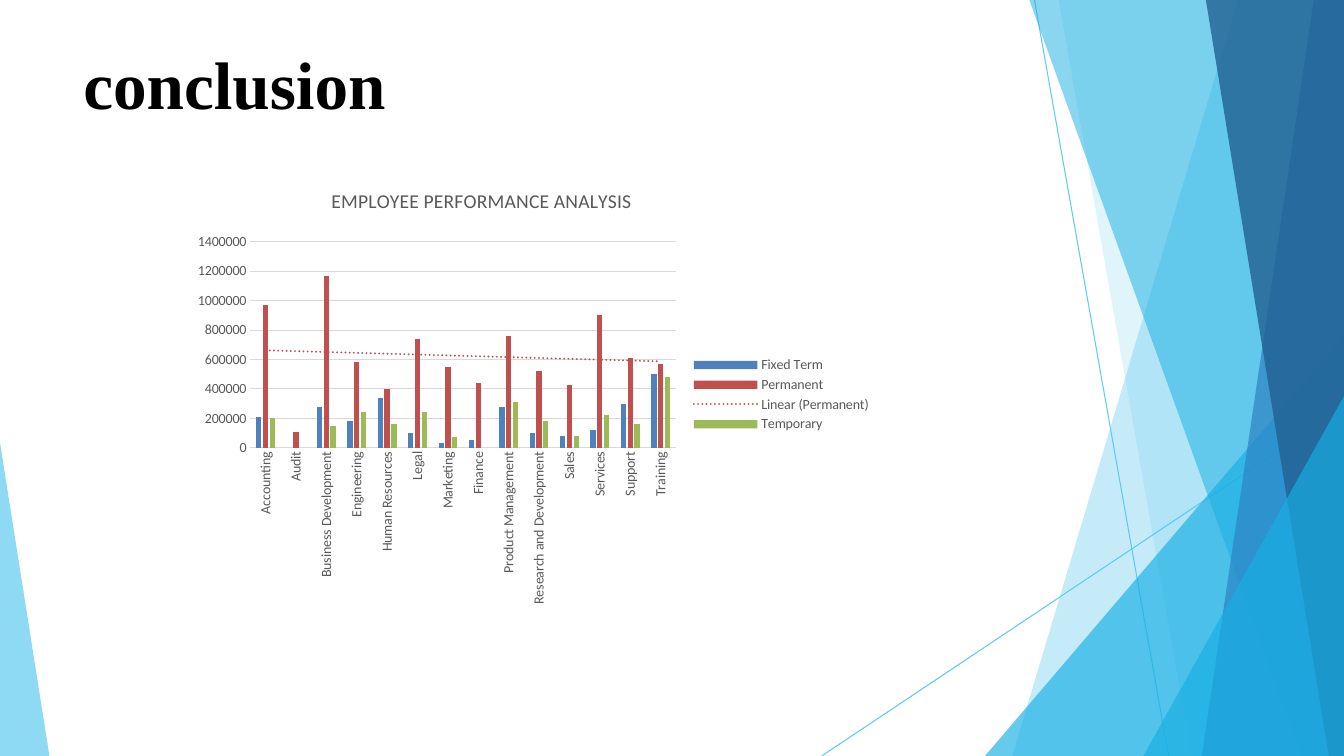
"""Build the conclusion slide with its employee performance chart."""
from lxml.etree import SubElement
from pptx import Presentation
from pptx.chart.data import CategoryChartData
from pptx.dml.color import RGBColor
from pptx.enum.chart import XL_CHART_TYPE, XL_LEGEND_POSITION, XL_TICK_MARK
from pptx.enum.shapes import MSO_CONNECTOR
from pptx.enum.text import MSO_ANCHOR
from pptx.oxml import parse_xml
from pptx.oxml.ns import nsdecls, qn
from pptx.util import Inches, Pt

COLORS = {
    "sky": "5FCAEE", "cyan": "17AFE3", "blue": "2D83C3", "navy": "226192",
    "black": "000000", "text": "595959", "grid": "D9D9D9",
    "Fixed Term": "4F81BD", "Permanent": "C0504D", "Temporary": "9BBB59",
}
TITLE = "conclusion"
CHART_TITLE = "EMPLOYEE PERFORMANCE ANALYSIS"
SERIES = ("Fixed Term", "Permanent", "Temporary")
ROWS = [
    ("Accounting", 210000, 970000, 200000),
    ("Audit", None, 110000, None),
    ("Business Development", 280000, 1170000, 150000),
    ("Engineering", 180000, 580000, 240000),
    ("Human Resources", 340000, 400000, 160000),
    ("Legal", 100000, 740000, 240000),
    ("Marketing", 30000, 550000, 70000),
    ("Finance", 50000, 440000, None),
    ("Product Management", 280000, 760000, 310000),
    ("Research and Development", 100000, 520000, 180000),
    ("Sales", 80000, 430000, 80000),
    ("Services", 120000, 900000, 220000),
    ("Support", 300000, 610000, 160000),
    ("Training", 500000, 570000, 480000),
]

# Shares of the slide's or the chart's width and height, in percent
TITLE_BOX = (6.2, 5.35, 87.6, 11.1)
CHART_BOX = (13.7, 23.33, 51.9, 57.75)
THIN_LINES = [((76.97, 0), (86.95, 100)), ((100, 53.87), (61.14, 100))]
RIGHT_FACETS = [
    (92.12, 75.32, 0, "sky", 36),
    (78.77, 88.67, 0, "sky", 20),
    (100, 73.29, 44.4, "cyan", 66),
    (76.59, 96.85, 0, "cyan", 50),
    (97.75, 89.42, 0, "blue", 70),
    (89.72, 98.87, 0, "navy", 80),
    (100, 85.07, 52.4, "cyan", 66),
]
LEFT_FACET = [(0, 58.53), (0, 100), (3.68, 100)]
TITLE_LAYOUT = {"x": 20.6, "y": 1.6}
PLOT_LAYOUT = {"x": 9.5, "y": 15, "w": 61, "h": 47.2}

presentation = Presentation()
presentation.slide_width, presentation.slide_height = Inches(13.33), Inches(7.5)
slide = presentation.slides.add_slide(presentation.slide_layouts[6])


def color(name):
    return RGBColor.from_string(COLORS[name])


def place(*shares):
    sides = (presentation.slide_width, presentation.slide_height) * 2
    return [round(share * side / 100) for share, side in zip(shares, sides)]


def add_facet(points, fill, opacity):
    corners = [place(*point) for point in points]
    builder = slide.shapes.build_freeform(*corners[0])
    builder.add_line_segments(corners[1:], close=True)
    shape = builder.convert_to_shape()
    shape.shadow.inherit = False
    shape.line.fill.background()
    shape.fill.solid()
    shape.fill.fore_color.rgb = color(fill)
    tint = shape.fill._xPr.find(".//" + qn("a:srgbClr"))
    SubElement(tint, qn("a:alpha"), val=str(opacity * 1000))


def format_font(font, size=10, name="Calibri", fill="text", bold=False):
    font.size, font.name, font.bold = Pt(size), name, bold
    font.color.rgb = color(fill)


def add_text(frame, text, **style):
    run = frame.paragraphs[0].add_run()
    run.text = text
    format_font(run.font, **style)


def set_layout(element, shares, inner=False):
    target = '<c:layoutTarget val="inner"/>' if inner else ""
    modes = "".join(f'<c:{key}Mode val="edge"/>' for key in "xy")
    values = "".join(f'<c:{key} val="{share / 100}"/>' for key, share in shares.items())
    layout = parse_xml(f'<c:layout {nsdecls("c")}><c:manualLayout>{target}{modes}'
                       f'{values}</c:manualLayout></c:layout>')
    for previous in element.findall(qn("c:layout")):
        element.remove(previous)
    text = element.find(qn("c:tx"))
    element.insert(0 if text is None else 1, layout)


def add_trend(series):
    trend = parse_xml(
        f'<c:trendline {nsdecls("c", "a")}><c:spPr><a:ln w="{Pt(1.5)}" cap="rnd"><a:solidFill>'
        f'<a:srgbClr val="{COLORS[series.name]}"/></a:solidFill><a:prstDash val="sysDot"/>'
        '</a:ln></c:spPr><c:trendlineType val="linear"/><c:dispRSqr val="0"/>'
        '<c:dispEq val="0"/></c:trendline>')
    series._element.find(qn("c:cat")).addprevious(trend)


def turn_labels(axis, degrees):
    body = axis._element.find(qn("c:txPr")).find(qn("a:bodyPr"))
    body.set("rot", str(degrees * 60000))
    body.set("vert", "horz")


def add_performance_chart():
    data = CategoryChartData()
    categories, *columns = zip(*ROWS)
    data.categories = categories
    for name, values in zip(SERIES, columns):
        data.add_series(name, values)
    chart = slide.shapes.add_chart(
        XL_CHART_TYPE.COLUMN_CLUSTERED, *place(*CHART_BOX), data).chart
    format_font(chart.font, fill="black")
    add_text(chart.chart_title.text_frame, CHART_TITLE, size=14)
    set_layout(chart.chart_title._element, TITLE_LAYOUT)
    set_layout(chart._chartSpace.chart.plotArea, PLOT_LAYOUT, inner=True)

    plot = chart.plots[0]
    plot.vary_by_categories = False
    plot.gap_width, plot.overlap = 219, -27
    for series in plot.series:
        series.format.fill.solid()
        series.format.fill.fore_color.rgb = color(series.name)
        if series.name == "Permanent":
            add_trend(series)

    for axis in (chart.category_axis, chart.value_axis):
        axis.major_tick_mark = axis.minor_tick_mark = XL_TICK_MARK.NONE
        format_font(axis.tick_labels.font)
    turn_labels(chart.category_axis, -90)
    chart.value_axis.format.line.fill.background()
    for line in (chart.category_axis.format.line,
                 chart.value_axis.major_gridlines.format.line):
        line.color.rgb = color("grid")
        line.width = Pt(0.75)

    chart.has_legend = True
    chart.legend.position = XL_LEGEND_POSITION.RIGHT
    chart.legend.include_in_layout = False
    format_font(chart.legend.font)


for start, end in THIN_LINES:
    connector = slide.shapes.add_connector(
        MSO_CONNECTOR.STRAIGHT, *place(*start), *place(*end))
    connector.line.color.rgb = color("sky")
    connector.line.width = Pt(0.75)
    SubElement(connector._element.spPr, qn("a:effectLst"))

for top_x, bottom_x, top, fill, opacity in RIGHT_FACETS:
    outline = [(100, top), (top_x, top), (bottom_x, 100), (100, 100)]
    add_facet(list(dict.fromkeys(outline)), fill, opacity)
add_facet(LEFT_FACET, "sky", 70)

title_frame = slide.shapes.add_textbox(*place(*TITLE_BOX)).text_frame
title_frame.word_wrap = True
title_frame.vertical_anchor = MSO_ANCHOR.MIDDLE
title_frame.margin_left = title_frame.margin_right = 0
title_frame.margin_top = title_frame.margin_bottom = 0
add_text(title_frame, TITLE, size=48, name="Times New Roman", fill="black", bold=True)
add_performance_chart()

presentation.save("out.pptx")
